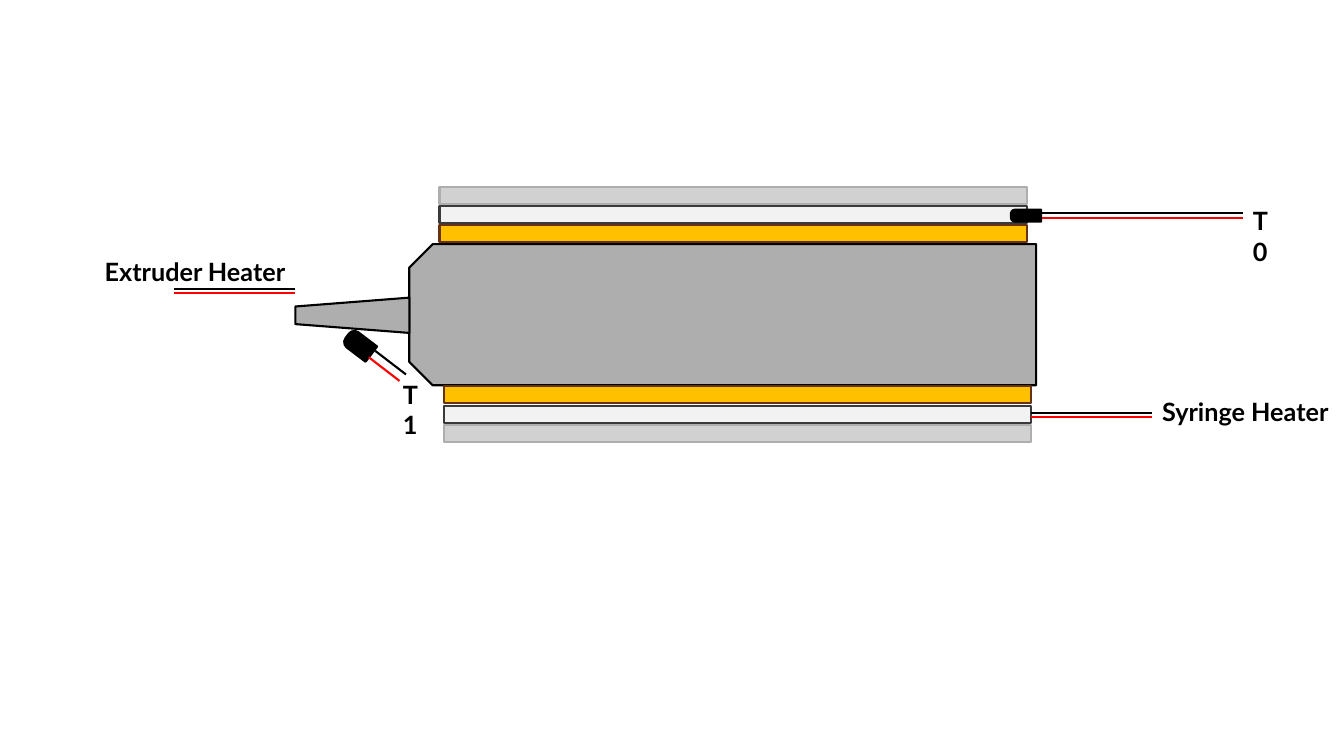
from lxml import etree
from pptx import Presentation
from pptx.dml.color import RGBColor
from pptx.enum.shapes import MSO_CONNECTOR, MSO_SHAPE
from pptx.oxml.ns import qn
from pptx.util import Pt

RECTANGLE = MSO_SHAPE.RECTANGLE
TRAPEZOID = MSO_SHAPE.TRAPEZOID
SNIPPED = MSO_SHAPE.SNIP_2_SAME_RECTANGLE
ROUNDED = MSO_SHAPE.ROUND_2_SAME_RECTANGLE
STRAIGHT = MSO_CONNECTOR.STRAIGHT

COLORS = {
    "black": "000000",
    "red": "FF0000",
    "metal": "AEAEAE",
    "heater": "FFC000",
    "heater_edge": "663216",
    "cover": "D1D1D1",
    "sleeve": "F2F2F2",
    "sleeve_edge": "3A3A3A",
}


def color(name):
    return RGBColor.from_string(COLORS[name])


def write_text(text_frame, text, font="Lato", size=18, bold=True, ink="black"):
    run = text_frame.paragraphs[0].add_run()
    run.text = text
    run.font.name = font
    run.font.size = Pt(size)
    run.font.bold = bold
    run.font.color.rgb = color(ink)


class Drawing:
    """Draws on one slide in a common style; all lengths are in points."""

    def __init__(self, slide, line_width=1.5):
        self.slide = slide
        self.line_width = line_width

    def solid(self, kind, left, top, width, height, fill, edge="black", rotation=0):
        """Add a filled shape; the frame is given before rotation."""
        shape = self.slide.shapes.add_shape(
            kind, Pt(left), Pt(top), Pt(width), Pt(height))
        shape.rotation = rotation
        shape.shadow.inherit = False
        shape.fill.solid()
        shape.fill.fore_color.rgb = color(fill)
        shape.line.color.rgb = color(edge)
        shape.line.width = Pt(self.line_width)
        return shape

    def wire(self, start, end, ink):
        connector = self.slide.shapes.add_connector(
            STRAIGHT, Pt(start[0]), Pt(start[1]), Pt(end[0]), Pt(end[1]))
        connector.line.color.rgb = color(ink)
        connector.line.width = Pt(self.line_width)
        properties = connector._element.spPr
        etree.SubElement(properties, qn("a:effectLst"))

    def wire_pair(self, start, end, offset):
        """Add a black wire and a red one shifted by offset."""
        self.wire(start, end, "black")
        shifted = [(x + offset[0], y + offset[1]) for x, y in (start, end)]
        self.wire(*shifted, "red")

    def sensor(self, left, top, width, rotation):
        shape = self.solid(ROUNDED, left, top, width, 21.6, "black", rotation=rotation)
        shape.adjustments[0] = 0.35
        shape.adjustments[1] = 0

    def label(self, text, left, top, width):
        box = self.slide.shapes.add_textbox(Pt(left), Pt(top), Pt(width), Pt(29))
        box.text_frame.word_wrap = True
        write_text(box.text_frame, text)

    def jacket(self, left, inner_top, step):
        """Stack heater, sleeve and cover outward from the syringe."""
        layers = (("heater", "heater_edge", 0), ("cover", "metal", 2),
                  ("sleeve", "sleeve_edge", 1))
        for fill, edge, position in layers:
            self.solid(RECTANGLE, left, inner_top + position * step,
                       419.8, 12.2, fill, edge)


def main():
    presentation = Presentation()
    presentation.slide_width = Pt(960)
    presentation.slide_height = Pt(540)
    slide = presentation.slides.add_slide(presentation.slide_layouts[6])
    drawing = Drawing(slide)

    # Syringe body and nozzle
    drawing.solid(SNIPPED, 465.8, 0.9, 100.8, 447.8, "metal", rotation=270)
    drawing.solid(TRAPEZOID, 239.1, 184.5, 25.2, 81.4, "metal", rotation=270)

    # Upper jacket with its temperature sensor
    drawing.jacket(314, 160.7, -13.7)
    drawing.sensor(728.6, 143.2, 8.6, 270)
    drawing.wire_pair((744.5, 152), (887.8, 152), (0, 3.7))
    drawing.label("T0", 887.8, 143.3, 33)

    # Nozzle temperature sensor
    drawing.sensor(249.8, 235.6, 13.7, 307.2)
    drawing.wire_pair((268, 250.6), (290, 267.5), (-4.6, 4.6))
    drawing.label("T1", 280.8, 267.1, 33)

    # Lower jacket and the heater leads
    drawing.jacket(317, 276, 13.8)
    drawing.wire_pair((736.6, 295), (823, 295), (0, 3))
    drawing.label("Syringe Heater", 823, 279.4, 137.5)
    drawing.label("Extruder Heater", 67.7, 179.3, 164)
    drawing.wire_pair((124.6, 206.2), (211, 206.2), (0, 3.2))

    presentation.save("out.pptx")


if __name__ == "__main__":
    main()
